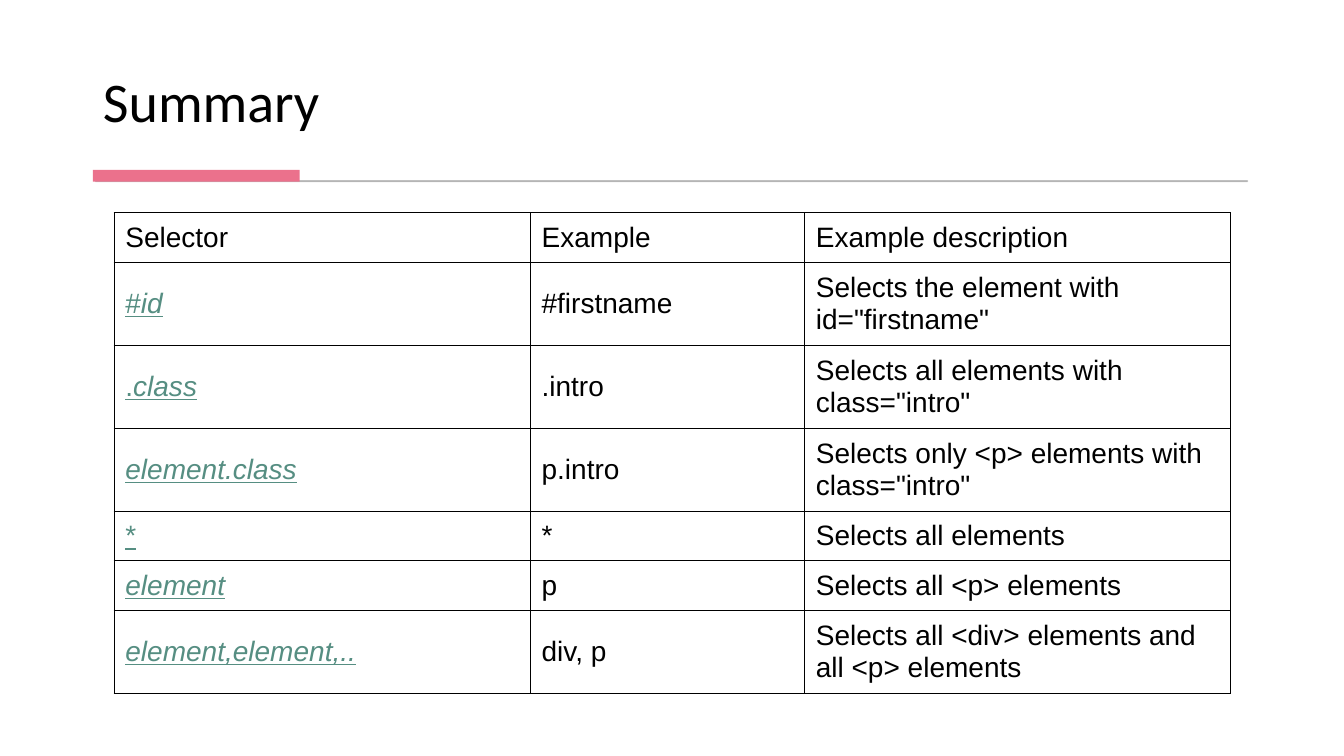
from dataclasses import dataclass

import pptx
import pptx.dml.color
import pptx.enum.shapes
import pptx.enum.text
import pptx.oxml
import pptx.oxml.ns
import pptx.util

Cm = pptx.util.Cm
Pt = pptx.util.Pt
RGB = pptx.dml.color.RGBColor
MIDDLE = pptx.enum.text.MSO_ANCHOR.MIDDLE


@dataclass(frozen=True)
class Theme:
    ink: str = "000000"
    paper: str = "FFFFFF"
    selector: str = "568E82"
    accent: str = "EB718C"
    rule: str = "595959"
    rule_opacity: int = 30
    title_font: str = "Calibri"
    table_font: str = "Arial"
    title_size: int = 40
    table_size: int = 20
    border_width: int = 1


@dataclass(frozen=True)
class Box:
    left: float
    top: float
    width: float
    height: float

    def lengths(self) -> tuple:
        return Cm(self.left), Cm(self.top), Cm(self.width), Cm(self.height)


@dataclass(frozen=True)
class Selector:
    prefix: str  # upright part
    name: str  # italic part
    example: str
    description: str
    height: float


THEME = Theme()
ONE_LINE, TWO_LINES = 1.25, 2.09
COLUMN_WIDTHS = (10.49, 6.91, 10.72)
HEADINGS = ("Selector", "Example", "Example description")
SELECTORS = (
    Selector("#", "id", "#firstname", 'Selects the element with id="firstname"', TWO_LINES),
    Selector(".", "class", ".intro", 'Selects all elements with class="intro"', TWO_LINES),
    Selector("", "element.class", "p.intro",
             'Selects only <p> elements with class="intro"', TWO_LINES),
    Selector("*", "", "*", "Selects all elements", ONE_LINE),
    Selector("", "element", "p", "Selects all <p> elements", ONE_LINE),
    Selector("", "element,element,..", "div, p",
             "Selects all <div> elements and all <p> elements", TWO_LINES),
)


def write(paragraph, text: str, *, font: str = THEME.table_font,
          size: int = THEME.table_size, color: str = THEME.ink,
          italic: bool = False, underline: bool = False) -> None:
    """Append one formatted run to a paragraph."""
    run = paragraph.add_run()
    run.text = text
    run.font.name, run.font.size = font, Pt(size)
    run.font.bold, run.font.italic, run.font.underline = False, italic, underline
    run.font.color.rgb = RGB.from_string(color)


def set_opacity(fill_format, percent: int) -> None:
    color = fill_format._xPr.find(".//" + pptx.oxml.ns.qn("a:srgbClr"))
    color.append(pptx.oxml.parse_xml(
        f'<a:alpha {pptx.oxml.ns.nsdecls("a")} val="{percent * 1000}"/>'))


def add_bar(slide, box: Box, color: str):
    bar = slide.shapes.add_shape(pptx.enum.shapes.MSO_SHAPE.RECTANGLE, *box.lengths())
    bar.shadow.inherit = False
    bar.fill.solid()
    bar.fill.fore_color.rgb = RGB.from_string(color)
    bar.line.fill.background()
    return bar


def format_cell(cell) -> None:
    """Set fill, margins, anchor and the four borders of a cell."""
    cell.fill.background()
    cell.vertical_anchor = MIDDLE
    cell.margin_left = cell.margin_right = Cm(0.28)
    cell.margin_top = cell.margin_bottom = Cm(0.15)
    properties = cell._tc.get_or_add_tcPr()
    for position, side in enumerate("LRTB"):
        properties.insert(position, pptx.oxml.parse_xml(
            f'<a:ln{side} {pptx.oxml.ns.nsdecls("a")} w="{Pt(THEME.border_width)}">'
            f'<a:solidFill><a:srgbClr val="{THEME.ink}"/></a:solidFill></a:ln{side}>'))


def add_summary_table(slide, left: float, top: float):
    heights = (ONE_LINE, *(selector.height for selector in SELECTORS))
    box = Box(left, top, sum(COLUMN_WIDTHS), sum(heights))
    summary = slide.shapes.add_table(
        len(heights), len(COLUMN_WIDTHS), *box.lengths()).table
    summary.first_row = summary.horz_banding = False
    for column, width in zip(summary.columns, COLUMN_WIDTHS):
        column.width = Cm(width)
    for row, height in zip(summary.rows, heights):
        row.height = Cm(height)
    for cell in summary.iter_cells():
        format_cell(cell)

    def paragraph(row: int, column: int):
        return summary.cell(row, column).text_frame.paragraphs[0]

    for column, heading in enumerate(HEADINGS):
        write(paragraph(0, column), heading)
    for row, selector in enumerate(SELECTORS, start=1):
        for part, italic in ((selector.prefix, False), (selector.name, True)):
            if part:
                write(paragraph(row, 0), part, color=THEME.selector,
                      italic=italic, underline=True)
        write(paragraph(row, 1), selector.example)
        write(paragraph(row, 2), selector.description)


# Slide
deck = pptx.Presentation()
deck.slide_width, deck.slide_height = Cm(33.87), Cm(19.05)
slide = deck.slides.add_slide(deck.slide_layouts[5])
slide.background.fill.solid()
slide.background.fill.fore_color.rgb = RGB.from_string(THEME.paper)

# Title
title = slide.shapes.title
title.left, title.top, title.width, title.height = Box(2.34, 0.71, 29.18, 2.82).lengths()
title.text_frame.vertical_anchor = pptx.enum.text.MSO_ANCHOR.BOTTOM
title.text_frame.auto_size = pptx.enum.text.MSO_AUTO_SIZE.NONE
heading_line = title.text_frame.paragraphs[0]
heading_line.alignment = pptx.enum.text.PP_ALIGN.LEFT
heading_line.line_spacing = 0.9
write(heading_line, "Summary", font=THEME.title_font, size=THEME.title_size)

# Rule with accent under the title
rule = add_bar(slide, Box(2.41, 4.55, 29.03, 0.03), THEME.rule)
rule.line.color.rgb = RGB.from_string(THEME.rule)
rule.line.width = Pt(0.75)
set_opacity(rule.fill, THEME.rule_opacity)
set_opacity(rule.line.fill, THEME.rule_opacity)
add_bar(slide, Box(2.34, 4.28, 5.21, 0.3), THEME.accent)

# Selector table
add_summary_table(slide, left=2.88, top=5.36)

deck.save("out.pptx")
